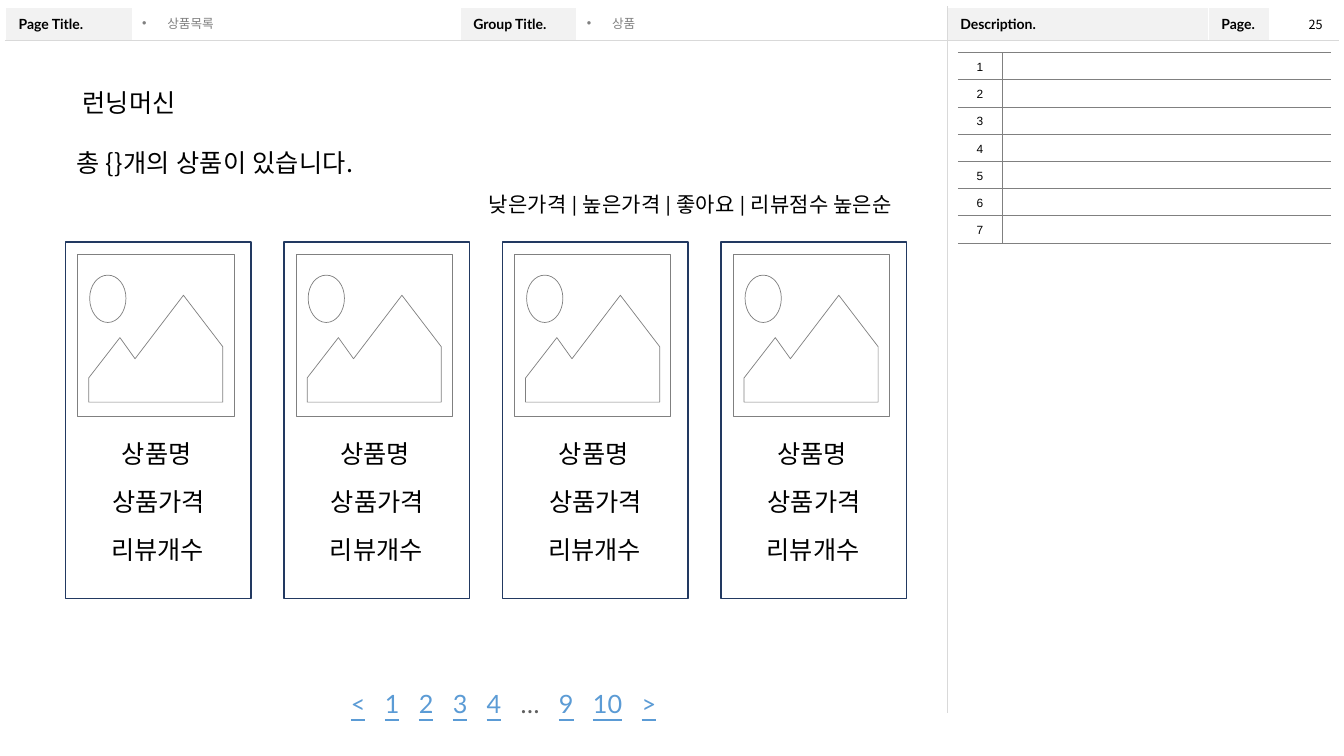
import lxml.etree
import pptx
import pptx.dml.color
import pptx.enum.shapes
import pptx.enum.text
import pptx.oxml.ns
import pptx.util

Inches = pptx.util.Inches
Pt = pptx.util.Pt
RGBColor = pptx.dml.color.RGBColor
qn = pptx.oxml.ns.qn
ALIGN = pptx.enum.text.PP_ALIGN
ANCHOR = pptx.enum.text.MSO_ANCHOR
FIT = pptx.enum.text.MSO_AUTO_SIZE

BLACK = RGBColor(0x00, 0x00, 0x00)
WHITE = RGBColor(0xFF, 0xFF, 0xFF)
GREY = RGBColor(0x80, 0x80, 0x80)
DARK_GREY = RGBColor(0x5F, 0x5F, 0x5F)
RULE = RGBColor(0xD9, 0xD9, 0xD9)
LABEL_FILL = RGBColor(0xF2, 0xF2, 0xF2)
NAVY = RGBColor(0x22, 0x39, 0x61)
LINK = RGBColor(0x5B, 0x9B, 0xD5)
LATO, ARIAL, NOTO = "Lato", "Arial", "Noto Sans CJK KR"

MOUNTAINS = [(0.23, 3.75), (0.54, 3.35), (0.69, 3.56), (1.17, 2.93),
             (1.56, 3.44), (1.56, 3.99), (0.23, 3.99)]
SUN = [(0.6, 2.96), (0.6, 3.09), (0.52, 3.2), (0.42, 3.2), (0.32, 3.2), (0.24, 3.09), (0.24, 2.96),
       (0.24, 2.83), (0.32, 2.73), (0.42, 2.73), (0.52, 2.73), (0.6, 2.83), (0.6, 2.96)]


class Wireframe:
    def __init__(self, slide):
        self.slide = slide
        self.shapes = slide.shapes

    def run(self, paragraph, text, size, font=NOTO, color=BLACK, bold=False, underline=False, spacing=0):
        run = paragraph.add_run()
        run.text = text
        run.font.size = Pt(size)
        run.font.name = font
        run.font.bold = bold
        run.font.underline = underline
        run.font.color.rgb = color
        east_asian = lxml.etree.Element(qn("a:ea"), typeface=NOTO)
        run.font._element.find(qn("a:latin")).addnext(east_asian)
        if spacing:
            run.font._element.set("spc", str(spacing))

    def place(self, shape, left, top, width, height):
        shape.left, shape.top = Inches(left), Inches(top)
        shape.width, shape.height = Inches(width), Inches(height)

    def heading(self, text, *box):
        title = self.slide.shapes.title
        self.place(title, *box)
        title.text_frame.auto_size = FIT.SHAPE_TO_FIT_TEXT
        title.text_frame.vertical_anchor = ANCHOR.TOP
        paragraph = title.text_frame.paragraphs[0]
        paragraph.alignment = ALIGN.LEFT
        self.run(paragraph, text, 18)

    def bullet(self, index, text, *box):
        body = self.slide.placeholders[index]
        self.place(body, *box)
        body.text_frame.auto_size = FIT.NONE
        body.text_frame.vertical_anchor = ANCHOR.MIDDLE
        paragraph = body.text_frame.paragraphs[0]
        paragraph.line_spacing = 0.9
        paragraph.space_before = Pt(10)
        properties = paragraph._p.get_or_add_pPr()
        properties.set("marL", str(Inches(0.25)))
        properties.set("indent", str(Inches(-0.25)))
        self.run(paragraph, text, 9, ARIAL, GREY)

    def text(self, box, text="", size=18, font=NOTO, align=ALIGN.LEFT, insets=(0.1, 0.05), wrap=True, spacing=0):
        frame = self.shapes.add_textbox(*map(Inches, box)).text_frame
        frame.word_wrap = wrap
        frame.auto_size = FIT.SHAPE_TO_FIT_TEXT
        frame.margin_left = frame.margin_right = Inches(insets[0])
        frame.margin_top = frame.margin_bottom = Inches(insets[1])
        paragraph = frame.paragraphs[0]
        paragraph.alignment = align
        if text:
            self.run(paragraph, text, size, font, spacing=spacing)
        return paragraph

    def outline(self, shape, color, weight, fill=None):
        shape.shadow.inherit = False
        if fill is None:
            shape.fill.background()
        else:
            shape.fill.solid()
            shape.fill.fore_color.rgb = fill
        shape.line.color.rgb = color
        shape.line.width = Pt(weight)

    def rectangle(self, box, color, weight, fill=None):
        kind = pptx.enum.shapes.MSO_SHAPE.RECTANGLE
        self.outline(self.shapes.add_shape(kind, *map(Inches, box)), color, weight, fill)

    def landscape(self, left):
        mountains, sun = ([(Inches(left + x), Inches(y)) for x, y in points] for points in (MOUNTAINS, SUN))
        builder = self.shapes.build_freeform(*mountains[0])
        builder.add_line_segments(mountains[1:], close=True)
        builder.move_to(*sun[0])
        builder.add_line_segments(sun[1:], close=False)
        shape = builder.convert_to_shape()
        segments = list(shape._element.iter(qn("a:lnTo")))[-len(sun) + 1:]
        contour = segments[0].getparent()
        for start in range(0, len(segments), 3):
            curve = lxml.etree.SubElement(contour, qn("a:cubicBezTo"))
            for segment in segments[start:start + 3]:
                curve.append(segment[0])
                contour.remove(segment)
        lxml.etree.SubElement(contour, qn("a:close"))
        self.outline(shape, GREY, 0.5, WHITE)

    def table(self, left, top, widths, heights):
        table = self.shapes.add_table(len(heights), len(widths), Inches(left), Inches(top),
                                      Inches(sum(widths)), Inches(sum(heights))).table
        table.first_row = table.horz_banding = False
        for column, width in zip(table.columns, widths):
            column.width = Inches(width)
        for row, height in zip(table.rows, heights):
            row.height = Inches(height)
        return table

    def cell(self, cell, text, size, font, bold=False, fill=None, edges="", edge_color=RULE, gaps=""):
        properties = cell._tc.get_or_add_tcPr()
        for side in "LRTB":
            weight = Pt(1) if side in gaps else Pt(0.25)
            line = lxml.etree.SubElement(properties, qn("a:ln" + side), w=str(weight))
            if side in edges + gaps:
                solid = lxml.etree.SubElement(line, qn("a:solidFill"))
                color = WHITE if side in gaps else edge_color
                lxml.etree.SubElement(solid, qn("a:srgbClr"), val=str(color))
            else:
                lxml.etree.SubElement(line, qn("a:noFill"))
        if fill is None:
            cell.fill.background()
        else:
            cell.fill.solid()
            cell.fill.fore_color.rgb = fill
        cell.vertical_anchor = ANCHOR.MIDDLE
        paragraph = cell.text_frame.paragraphs[0]
        if text:
            self.run(paragraph, text, size, font, bold=bold)
        else:
            lxml.etree.SubElement(paragraph._p, qn("a:endParaRPr"), sz=str(int(size * 100)))
        return paragraph

    def page_header(self):
        labels = ["Page Title.", "", "Group Title.", "", "Description.", "Page.", ""]
        header = self.table(0.055, 0.07, [1.26, 3.25, 1.15, 3.68, 2.59, 0.61, 0.68], [0.33, 6.67])
        for column, label in enumerate(labels):
            divider = {3: "R", 4: "L"}.get(column, "")
            gaps = "".join(side for side in "LRT" if side != divider)
            top_cell = header.cell(0, column)
            top_cell.margin_left = top_cell.margin_right = Inches(0.13)
            top_cell.margin_top = top_cell.margin_bottom = Inches(0.07)
            self.cell(top_cell, label, 10, LATO, True, LABEL_FILL if label else None, "B" + divider, gaps=gaps)
            self.cell(header.cell(1, column), "", 10, LATO, edges="T" + divider)
        header.cell(1, 0).merge(header.cell(1, 3))
        header.cell(1, 4).merge(header.cell(1, 6))

    def descriptions(self, count):
        notes = self.table(9.5, 0.52, [0.44, 3.26], [0.27] * count)
        for row in range(count):
            number = self.cell(notes.cell(row, 0), str(row + 1), 8.5, ARIAL, edges="RTB", edge_color=GREY)
            number.alignment = ALIGN.CENTER
            number.line_spacing = 1.2
            self.cell(notes.cell(row, 1), "", 8.5, ARIAL, edges="LTB", edge_color=GREY)

    def product_card(self, left):
        self.shapes = self.slide.shapes.add_group_shape().shapes
        self.rectangle((left + 0.12, 2.52, 1.55, 1.61), GREY, 0.5, WHITE)
        self.landscape(left)
        for row, (label, offset) in enumerate([("상품명", 0.2), ("상품가격", 0.22), ("리뷰개수", 0.21)]):
            self.text((left + offset, 4.3 + 0.475 * row, 1.41, 0.4), label, align=ALIGN.CENTER)
        self.rectangle((left, 2.4, 1.84, 3.54), NAVY, 1)
        self.shapes = self.slide.shapes

    def pagination(self, pages):
        paragraph = self.text((3.4, 6.79, 3.27, 0.38), insets=(0.08, 0.04))
        for position, page in enumerate(pages):
            if position:
                self.run(paragraph, " ", 18, LATO, LINK, spacing=920)
            skipped = page == "…"
            self.run(paragraph, page, 18, LATO, DARK_GREY if skipped else LINK, underline=not skipped)


def main():
    deck = pptx.Presentation()
    deck.slide_width, deck.slide_height = Inches(13.33), Inches(7.5)
    product_list = Wireframe(deck.slides.add_slide(deck.slide_layouts[3]))
    product_list.page_header()
    product_list.bullet(1, "상품목록", 1.31, 0.12, 3.24, 0.24)
    product_list.bullet(2, "상품", 5.72, 0.12, 3.64, 0.24)
    product_list.descriptions(7)
    product_list.text((12.88, 0.12, 0.34, 0.25), "25", 9, wrap=False)
    product_list.pagination(["<", "1", "2", "3", "4", "…", "9", "10", ">"])
    product_list.text((4.77, 1.86, 4.57, 0.32), "낮은가격 | 높은가격 | 좋아요 | 리뷰점수 높은순",
                      15, LATO, insets=(0.08, 0.04), spacing=10)
    for card in range(4):
        product_list.product_card(0.65 + 6.5 / 3 * card)
    product_list.heading("런닝머신", 0.72, 0.82, 2.77, 0.4)
    product_list.text((0.66, 1.41, 3.95, 0.4), "총 {}개의 상품이 있습니다.", spacing=20)
    deck.save("out.pptx")


if __name__ == "__main__":
    main()
